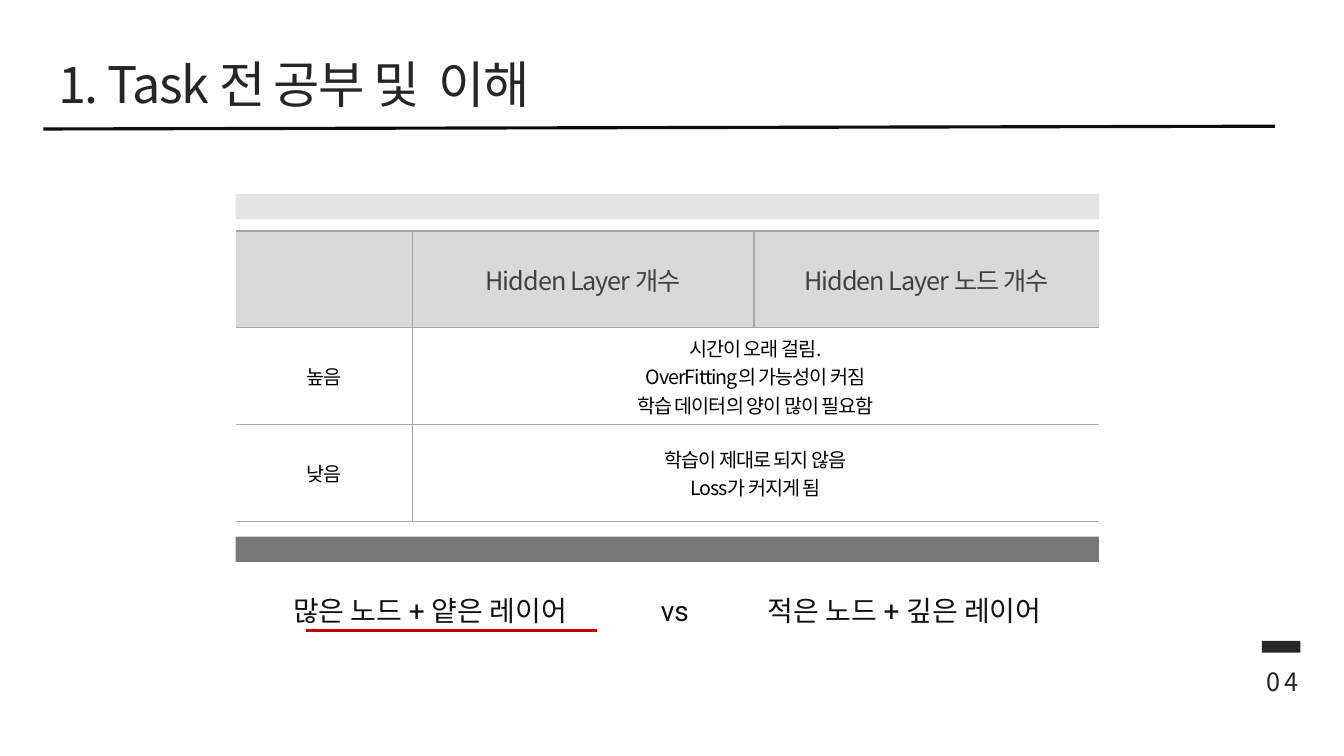
import pptx
import pptx.dml.color
import pptx.enum.dml
import pptx.enum.shapes
import pptx.enum.text
import pptx.oxml
import pptx.oxml.ns
import pptx.util
from lxml import etree

Cm, Pt = pptx.util.Cm, pptx.util.Pt
RGBColor = pptx.dml.color.RGBColor
ALIGN = pptx.enum.text.PP_ALIGN
MIDDLE = pptx.enum.text.MSO_ANCHOR.MIDDLE
qn = pptx.oxml.ns.qn

INK = RGBColor(0x26, 0x26, 0x26)
RULE = RGBColor(0x0D, 0x0D, 0x0D)
DARK = RGBColor(0x40, 0x40, 0x40)
PALE = RGBColor(0xD9, 0xD9, 0xD9)
GRID = RGBColor(0xA6, 0xA6, 0xA6)
BLACK = RGBColor(0, 0, 0)
SUMMARY = RGBColor(0x11, 0x11, 0x11)
RED = RGBColor(0xC0, 0, 0)
NOTO, ROBOTO = "Noto Sans CJK KR", "Roboto"

TITLE = "1. Task 전 공부 및  이해"
PAGE = "0 4"
ROWS = [
    [[], ["Hidden Layer 개수"], ["Hidden Layer 노드 개수"]],
    [["높음"], ["시간이 오래 걸림.", "OverFitting의 가능성이 커짐", "학습 데이터의 양이 많이 필요함"]],
    [["낮음"], ["학습이 제대로 되지 않음", "Loss가 커지게 됨"]],
]
COMPARISON = ["많은 노드 + 얕은 레이어", "vs", "적은 노드 + 깊은 레이어"]
COMPARISON_STOPS = [4.75, 10.92, 16.71]

LEFT, TOP = 5.94, 5.82
COLS, ROW_H = [4.45, 8.61, 8.69], 2.44
RIGHT = LEFT + sum(COLS)

LINES = [
    (1.09, 3.25, 32.13, 3.18, RULE, 2.25, 100),
    (LEFT, 5.21, RIGHT, 5.21, PALE, 18, 70),
    (LEFT, 13.84, RIGHT, 13.84, DARK, 18, 70),
    (7.72, 15.88, 15.04, 15.88, RED, 2.25, 100),
]

TITLE_FONT = {"size": Pt(36), "name": NOTO, "bold": False}
PAGE_FONT = {"size": Pt(18), "name": NOTO}
HEAD_FONT = {"size": Pt(18), "name": NOTO, "bold": False}
CELL_FONT = {"size": Pt(14), "name": NOTO, "bold": False}
SUMMARY_FONT = {"size": Pt(20), "name": ROBOTO}


def write(tf, lines, font, color, align, spacing=0):
    for i, line in enumerate(lines):
        p = tf.paragraphs[0] if i == 0 else tf.add_paragraph()
        p.alignment = align
        r = p.add_run()
        r.text = line
        for key, value in font.items():
            setattr(r.font, key, value)
        r.font.color.rgb = color
        rPr = r.font._element
        rPr.set("spc", str(spacing))
        ea = etree.SubElement(rPr, qn("a:ea"))
        ea.set("typeface", NOTO)


def add_text(s, box, lines, font, color, align, spacing=0):
    tf = s.shapes.add_textbox(*map(Cm, box)).text_frame
    tf.word_wrap = True
    write(tf, lines, font, color, align, spacing)
    return tf


def add_line(s, x1, y1, x2, y2, color, width, opacity):
    line = s.shapes.add_connector(pptx.enum.shapes.MSO_CONNECTOR.STRAIGHT, *map(Cm, (x1, y1, x2, y2)))
    line.line.color.rgb = color
    line.line.width = Pt(width)
    if opacity < 100:
        clr = line.line._ln.find(".//" + qn("a:srgbClr"))
        etree.SubElement(clr, qn("a:alpha")).set("val", str(opacity * 1000))
    etree.SubElement(line._element.spPr, qn("a:effectLst"))


def set_borders(cell, hidden):
    tcPr = cell._tc.get_or_add_tcPr()
    for i, side in enumerate(("lnL", "lnR", "lnT", "lnB")):
        ln = etree.Element(qn("a:" + side), w=str(Pt(1)))
        if side in hidden:
            etree.SubElement(ln, qn("a:noFill"))
        else:
            fill = etree.SubElement(ln, qn("a:solidFill"))
            etree.SubElement(fill, qn("a:srgbClr")).set("val", str(GRID))
        tcPr.insert(i, ln)


def add_grid(s):
    table = s.shapes.add_table(
        len(ROWS), len(COLS), Cm(LEFT), Cm(TOP), Cm(sum(COLS)), Cm(ROW_H * len(ROWS))).table
    table.first_row = table.horz_banding = False
    for col, width in zip(table.columns, COLS):
        col.width = Cm(width)
    for i, row in enumerate(ROWS):
        table.rows[i].height = Cm(ROW_H)
        merged = len(row) < len(COLS)
        if merged:
            table.cell(i, 1).merge(table.cell(i, 2))
        for j in range(len(COLS)):
            cell = table.cell(i, j)
            cell.vertical_anchor = MIDDLE
            if i == 0:
                cell.fill.solid()
                cell.fill.fore_color.rgb = PALE
            else:
                cell.fill.background()
            hidden = {0: {"lnL"}, 1: {"lnR"} if merged else set(), 2: {"lnR", "lnL"} if merged else {"lnR"}}
            set_borders(cell, hidden[j])
            if j < len(row):
                font, color = (HEAD_FONT, DARK) if i == 0 else (CELL_FONT, BLACK)
                write(cell.text_frame, row[j], font, color, ALIGN.CENTER, -70)


def add_title(s):
    title = s.shapes.title
    box = {"left": Cm(0.94), "top": Cm(1.14), "width": Cm(18.64), "height": Cm(1.93)}
    for key, value in box.items():
        setattr(title, key, value)
    tf = title.text_frame
    frame = {"vertical_anchor": MIDDLE, "margin_left": Cm(0.53), "word_wrap": True,
             "auto_size": pptx.enum.text.MSO_AUTO_SIZE.NONE}
    for key, value in frame.items():
        setattr(tf, key, value)
    write(tf, [TITLE], TITLE_FONT, INK, ALIGN.LEFT, -100)


def add_page_number(s):
    add_text(s, (31.32, 16.66, 1.65, 1.02), [PAGE], PAGE_FONT, INK, ALIGN.RIGHT, -70)
    bar = s.shapes.add_shape(
        pptx.enum.shapes.MSO_SHAPE.RECTANGLE, Cm(31.8), Cm(16.15), Cm(0.97), Cm(0.3))
    bar.shadow.inherit = False
    bar.fill.solid()
    bar.fill.fore_color.rgb = INK
    bar.line.fill.background()


def add_comparison(s):
    text = "".join("\t" + part for part in COMPARISON)
    tf = add_text(s, (LEFT, 14.91, 21.97, 0.97), [text], SUMMARY_FONT, SUMMARY, ALIGN.LEFT)
    margins = {"margin_left": 0.15, "margin_right": 0.15, "margin_top": 0.05, "margin_bottom": 0.05}
    for key, value in margins.items():
        setattr(tf, key, Cm(value))
    tabs = etree.SubElement(tf.paragraphs[0]._p.get_or_add_pPr(), qn("a:tabLst"))
    for stop in COMPARISON_STOPS:
        etree.SubElement(tabs, qn("a:tab"), pos=str(Cm(stop)), algn="ctr")


def main():
    prs = pptx.Presentation()
    prs.slide_width, prs.slide_height = Cm(33.87), Cm(19.05)
    s = prs.slides.add_slide(prs.slide_layouts[5])
    add_title(s)
    add_page_number(s)
    for line in LINES:
        add_line(s, *line)
    add_grid(s)
    add_comparison(s)
    prs.save("out.pptx")


if __name__ == "__main__":
    main()
